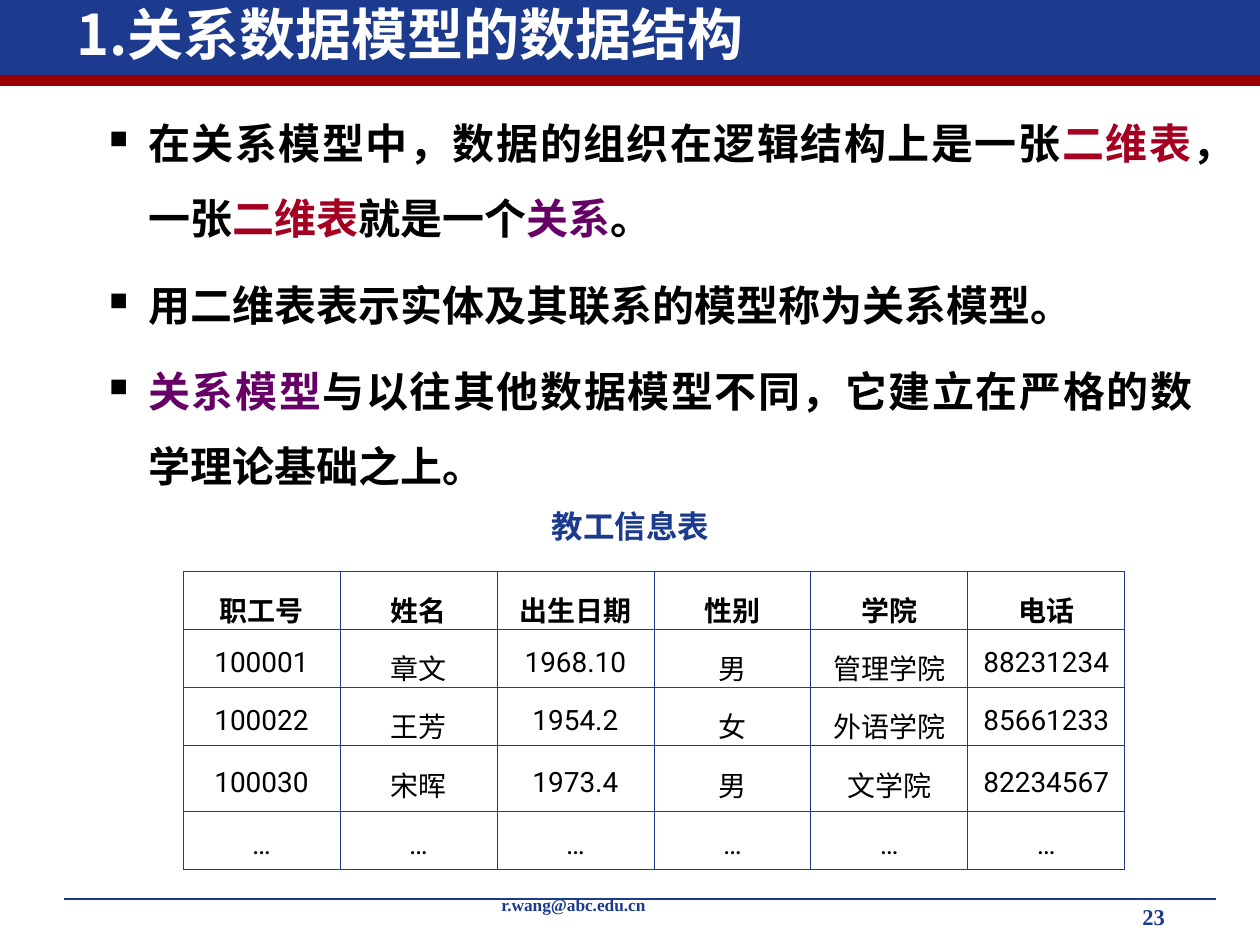
from lxml import etree
from pptx import Presentation
from pptx import util as u
from pptx.dml.color import RGBColor
from pptx.enum import shapes, text
from pptx.oxml import ns

SCALE = 914400 // 126  # EMU per px
BLUE, RED, BLACK, WHITE = "1C3A8E", "990000", "000000", "FFFFFF"
CRIMSON, PURPLE = "A50021", "660066"
CJK, LATIN, SERIF = "Noto Sans CJK SC", "Roboto", "Times New Roman"
ALIGN, ANCHOR = text.PP_ALIGN, text.MSO_ANCHOR

BULLETS = [
    [("在关系模型中，数据的组织在逻辑结构上是一张", BLACK), ("二维表", CRIMSON),
     ("，一张", BLACK), ("二维表", CRIMSON), ("就是一个", BLACK),
     ("关系", PURPLE), ("。", BLACK)],
    [("用二维表表示实体及其联系的模型称为关系模型。", BLACK)],
    [("关系模型", PURPLE),
     ("与以往其他数据模型不同，它建立在严格的数学理论基础之上。", BLACK)],
]
STAFF = [
    ["职工号", "姓名", "出生日期", "性别", "学院", "电话"],
    ["100001", "章文", "1968.10", "男", "管理学院", "88231234"],
    ["100022", "王芳", "1954.2", "女", "外语学院", "85661233"],
    ["100030", "宋晖", "1973.4", "男", "文学院", "82234567"],
    ["…"] * 6,
]
ROW_HEIGHTS = [58, 58, 58, 66, 58]
COLUMN_WIDTH = 157


def px(*lengths):
    return [u.Emu(length * SCALE) for length in lengths]


def color(value):
    return RGBColor.from_string(value)


def add_child(parent, tag, **attributes):
    return etree.SubElement(parent, ns.qn(tag), attributes)


def add_run(paragraph, content, size, font=CJK, fill=BLACK, bold=True):
    run = paragraph.add_run()
    run.text = content
    run.font.size, run.font.bold, run.font.name = u.Pt(size), bold, font
    run.font.color.rgb = color(fill)
    add_child(run.font._element, "a:ea", typeface=CJK)


def add_bar(slide, box, fill):
    shape = slide.shapes.add_shape(shapes.MSO_SHAPE.RECTANGLE, *px(*box))
    shape.shadow.inherit = False
    shape.fill.solid()
    shape.fill.fore_color.rgb = color(fill)
    shape.line.fill.background()


def add_rule(slide, start, end):
    line = slide.shapes.add_connector(
        shapes.MSO_CONNECTOR.STRAIGHT, *px(*start, *end))
    line.line.color.rgb = color(BLUE)
    line.line.width = u.Pt(0.75)
    add_child(line._element.spPr, "a:effectLst")


def add_frame(slide, box, anchor=ANCHOR.TOP, wrap=True):
    frame = slide.shapes.add_textbox(*px(*box)).text_frame
    frame.word_wrap, frame.vertical_anchor = wrap, anchor
    return frame


def add_label(slide, content, box, anchor=ANCHOR.TOP, wrap=True,
              align=ALIGN.LEFT, spacing=1.0, **run_format):
    paragraph = add_frame(slide, box, anchor, wrap).paragraphs[0]
    paragraph.alignment, paragraph.line_spacing = align, spacing
    add_run(paragraph, content, **run_format)


def add_bullets(slide, box, items):
    frame = add_frame(slide, box)
    for index, runs in enumerate(items):
        paragraph = frame.add_paragraph() if index else frame.paragraphs[0]
        paragraph.alignment = ALIGN.JUSTIFY
        paragraph.line_spacing, paragraph.space_before = 1.5, u.Pt(6)
        properties = paragraph._p.get_or_add_pPr()
        properties.set("marL", str(102 * SCALE))
        properties.set("indent", str(-39 * SCALE))
        bullet_color = add_child(properties, "a:buClr")
        add_child(bullet_color, "a:srgbClr", val=BLACK)
        add_child(properties, "a:buSzPct", val="60000")
        add_child(properties, "a:buChar", char="■")
        for content, fill in runs:
            add_run(paragraph, content, 24, fill=fill)


def add_borders(cell):
    properties = cell._tc.get_or_add_tcPr()
    for index, side in enumerate(("a:lnL", "a:lnR", "a:lnT", "a:lnB")):
        border = etree.Element(ns.qn(side), w=str(u.Pt(0.45)))
        fill = add_child(border, "a:solidFill")
        add_child(fill, "a:srgbClr", val=BLUE)
        properties.insert(index, border)


def add_staff_table(slide, left, top):
    size = (COLUMN_WIDTH * len(STAFF[0]), sum(ROW_HEIGHTS))
    table = slide.shapes.add_table(
        len(STAFF), len(STAFF[0]), *px(left, top, *size)).table
    table.first_row = table.horz_banding = False
    for column in table.columns:
        column.width = px(COLUMN_WIDTH)[0]
    for row, height, values in zip(table.rows, ROW_HEIGHTS, STAFF):
        row.height = px(height)[0]
        for cell, value in zip(row.cells, values):
            cell.fill.background()
            cell.vertical_anchor = ANCHOR.MIDDLE
            cell.margin_left, cell.margin_right = px(9, 9)
            cell.margin_top, cell.margin_bottom = px(6, 6)
            add_borders(cell)
            paragraph = cell.text_frame.paragraphs[0]
            paragraph.alignment, paragraph.line_spacing = ALIGN.CENTER, 1.3
            add_run(paragraph, value, 16, LATIN, bold=values is STAFF[0])


def main():
    presentation = Presentation()
    presentation.slide_width, presentation.slide_height = px(1260, 945)
    slide = presentation.slides.add_slide(presentation.slide_layouts[6])

    # Header band and footer rule
    add_bar(slide, (0, -4, 1260, 79), BLUE)
    add_rule(slide, (64, 899), (1216, 899))
    add_bar(slide, (0, 75, 1260, 11), RED)

    # Title and body
    add_label(slide, "1.关系数据模型的数据结构", (64, -9, 903, 84),
              anchor=ANCHOR.MIDDLE, size=32, fill=WHITE)
    add_bullets(slide, (34, 86, 1171, 417), BULLETS)

    # Staff table with its caption
    add_label(slide, "教工信息表", (539, 501, 183, 50), anchor=ANCHOR.MIDDLE,
              wrap=False, align=ALIGN.CENTER, size=18, font=SERIF, fill=BLUE)
    add_staff_table(slide, 183, 571)

    # Footer
    add_label(slide, "23", (1130, 900, 125, 42), spacing=0.9,
              size=12.9, font=SERIF, fill=BLUE)
    add_label(slide, "r.wang@abc.edu.cn", (489, 892, 399, 34), spacing=0.8,
              size=9.9, font=SERIF, fill=BLUE)

    presentation.save("out.pptx")


if __name__ == "__main__":
    main()
